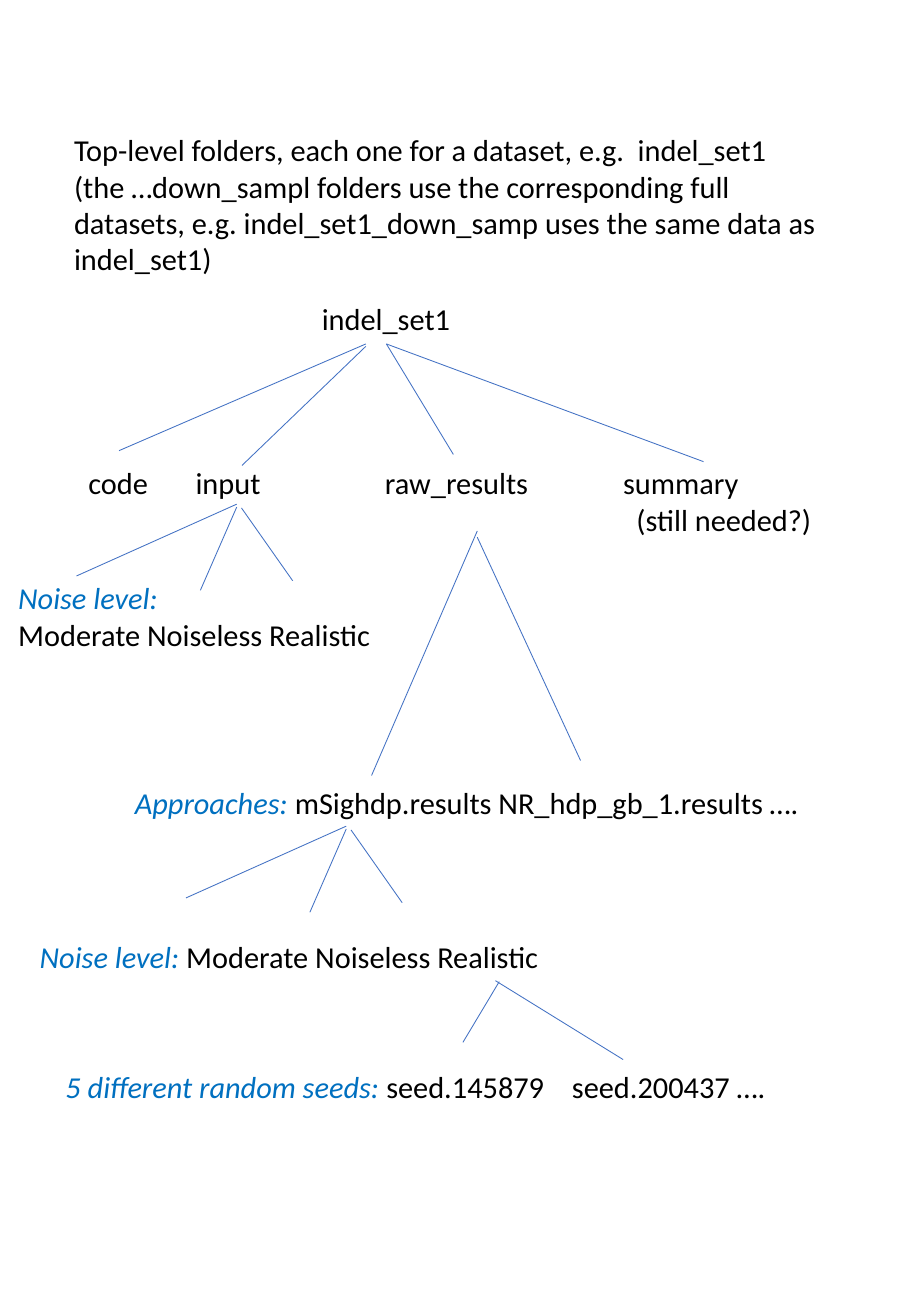
from dataclasses import dataclass

from lxml.etree import SubElement
from pptx import Presentation
from pptx.dml.color import RGBColor
from pptx.enum.shapes import MSO_CONNECTOR
from pptx.enum.text import MSO_AUTO_SIZE
from pptx.oxml.ns import qn
from pptx.slide import Slide
from pptx.util import Cm, Pt

COLORS = {"text": "000000", "label": "0070C0", "branch": "4472C4"}
FONT = "Calibri"
LINE_HEIGHT = 1.02
FOLDER_TOP = 9.58
SEED_TOP = 22.2


@dataclass(frozen=True)
class Span:
    text: str
    is_label: bool = False


@dataclass(frozen=True)
class Line:
    spans: tuple[Span, ...]
    indent: float = 0


@dataclass(frozen=True)
class Label:
    left: float
    top: float
    width: float
    lines: tuple[Line, ...]
    height: float = LINE_HEIGHT


@dataclass(frozen=True)
class Branch:
    start: tuple[float, float]
    end: tuple[float, float]


@dataclass(frozen=True)
class Fan:
    left: float
    top: float
    branches: tuple[Branch, ...]


def plain(text: str, indent: float = 0) -> Line:
    return Line((Span(text),), indent)


def labelled(label: str, text: str) -> Line:
    return Line((Span(label + " ", True), Span(text)))


NOISE_LEVELS = "Moderate Noiseless Realistic"

LABELS = (
    Label(1.3, 2.62, 16.38, (
        plain("Top-level folders, each one for a dataset, e.g.  indel_set1"),
        plain("(the …down_sampl folders use the corresponding full datasets, "
              "e.g. indel_set1_down_samp uses the same data as indel_set1)"),
    ), 3.33),
    Label(6.48, 6.15, 3.4, (plain("indel_set1"),)),
    Label(1.6, FOLDER_TOP, 2, (plain("code"),)),
    Label(3.84, FOLDER_TOP, 2.1, (plain("input"),)),
    Label(7.8, FOLDER_TOP, 3.8, (plain("raw_results"),)),
    Label(12.78, FOLDER_TOP, 4.7, (plain("summary"), plain("(still needed?)", 0.28)), 1.8),
    Label(0.13, 11.99, 8.1, (Line((Span("Noise level:", True),)), plain(NOISE_LEVELS)), 1.8),
    Label(2.57, 16.26, 14.6, (
        labelled("Approaches:", "mSighdp.results NR_hdp_gb_1.results …."),
    )),
    Label(0.58, 19.48, 11.1, (labelled("Noise level:", NOISE_LEVELS),)),
    Label(1.12, SEED_TOP, 10.7, (labelled("5 different random seeds:", "seed.145879"),)),
    Label(11.71, SEED_TOP, 4.8, (plain("seed.200437 …."),)),
)

NOISE_BRANCHES = (
    Branch((0, 0), (-3.35, 1.5)),
    Branch((0, 0.06), (-0.76, 1.8)),
    Branch((0.1, 0.08), (1.17, 1.6)),
)

FANS = (
    Fan(7.65, 7.19, (
        Branch((0, 0), (-5.16, 2.23)),
        Branch((0, 0.05), (-2.59, 2.54)),
        Branch((0.43, 0), (7.06, 2.46)),
        Branch((0.43, 0), (1.83, 2.31)),
    )),
    Fan(4.95, 10.54, NOISE_BRANCHES),
    Fan(9.98, 11.1, (
        Branch((0, 0), (-2.21, 5.11)),
        Branch((0, 0.13), (2.16, 4.8)),
    )),
    Fan(7.24, 17.27, NOISE_BRANCHES),
    Fan(10.36, 20.5, (
        Branch((0.08, 0.02), (-0.68, 1.29)),
        Branch((0, 0), (2.67, 1.65)),
    )),
)


def draw_label(page: Slide, label: Label) -> None:
    box = page.shapes.add_textbox(
        Cm(label.left), Cm(label.top), Cm(label.width), Cm(label.height)
    )
    frame = box.text_frame
    frame.word_wrap = True
    frame.auto_size = MSO_AUTO_SIZE.SHAPE_TO_FIT_TEXT
    for index, line in enumerate(label.lines):
        para = frame.add_paragraph() if index else frame.paragraphs[0]
        if line.indent:
            para._p.get_or_add_pPr().set("marL", str(Cm(line.indent)))
        for span in line.spans:
            run = para.add_run()
            run.text = span.text
            run.font.name = FONT
            run.font.size = Pt(18)
            run.font.italic = span.is_label
            color = COLORS["label" if span.is_label else "text"]
            run.font.color.rgb = RGBColor.from_string(color)


def draw_fan(page: Slide, fan: Fan) -> None:
    for branch in fan.branches:
        points = [
            Cm(origin + offset)
            for point in (branch.start, branch.end)
            for origin, offset in zip((fan.left, fan.top), point)
        ]
        connector = page.shapes.add_connector(MSO_CONNECTOR.STRAIGHT, *points)
        connector.line.color.rgb = RGBColor.from_string(COLORS["branch"])
        connector.line.width = Pt(0.5)
        SubElement(connector._element.spPr, qn("a:effectLst"))


def build_deck() -> None:
    deck = Presentation()
    deck.slide_width = Cm(19.05)
    deck.slide_height = Cm(27.51)
    page = deck.slides.add_slide(deck.slide_layouts[6])
    for label in LABELS:
        draw_label(page, label)
    for fan in FANS:
        draw_fan(page, fan)
    deck.save("out.pptx")


build_deck()
